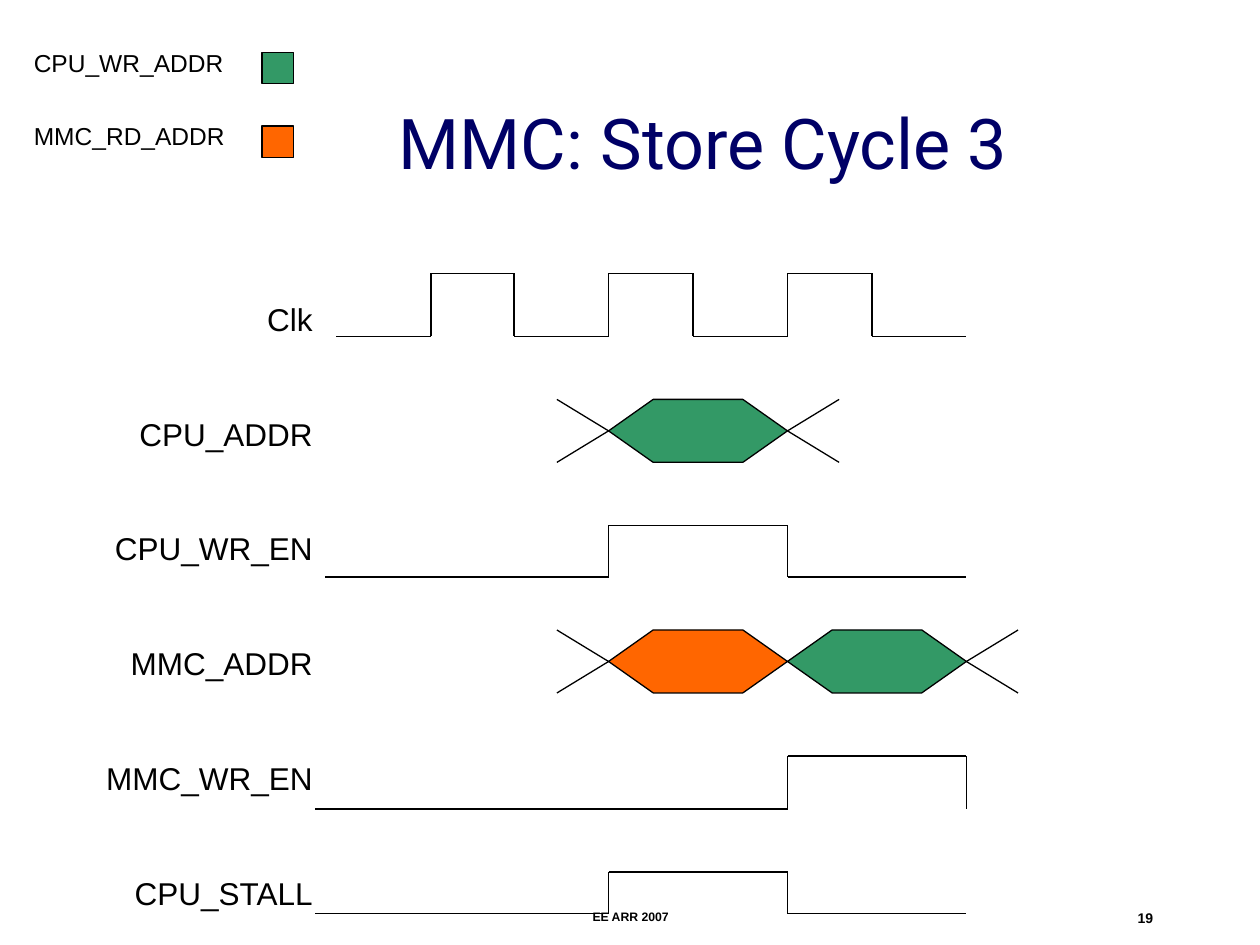
from itertools import pairwise

from lxml import etree
from pptx import Presentation
from pptx.dml.color import RGBColor
from pptx.enum.shapes import MSO_CONNECTOR, MSO_SHAPE
from pptx.enum.text import MSO_ANCHOR, PP_ALIGN
from pptx.oxml.ns import qn
from pptx.util import Inches, Pt

STRAIGHT = MSO_CONNECTOR.STRAIGHT
RECTANGLE, HEXAGON = MSO_SHAPE.RECTANGLE, MSO_SHAPE.HEXAGON
LEFT, CENTER, RIGHT = PP_ALIGN.LEFT, PP_ALIGN.CENTER, PP_ALIGN.RIGHT
TOP, MIDDLE = MSO_ANCHOR.TOP, MSO_ANCHOR.MIDDLE

BLACK, NAVY, GREEN, ORANGE = "000000", "000066", "339966", "FF6600"
RISES = [3.42, 4.83, 6.25]
FALLS = [4.08, 5.5, 6.92]
END = 7.67
SIGNALS = ["Clk", "CPU_ADDR", "CPU_WR_EN", "MMC_ADDR", "MMC_WR_EN", "CPU_STALL"]


def color(hex_value):
    """Turn a hex string into a colour."""
    return RGBColor.from_string(hex_value)


def add_text(slide, box, text, size, font="Arial", ink=BLACK, bold=False,
             align=LEFT, anchor=TOP, gap=0):
    """Write one paragraph per line of text, with gap points between them."""
    frame = slide.shapes.add_textbox(*map(Inches, box)).text_frame
    frame.word_wrap = True
    frame.vertical_anchor = anchor
    for index, line in enumerate(text.split("\n")):
        paragraph = frame.add_paragraph() if index else frame.paragraphs[0]
        paragraph.alignment = align
        paragraph.space_before = Pt(gap if index else 0)
        run = paragraph.add_run()
        run.text = line
        run.font.size = Pt(size)
        run.font.name = font
        run.font.bold = bold
        run.font.color.rgb = color(ink)


def add_block(slide, kind, box, fill):
    """Place a filled shape with a thin black outline."""
    block = slide.shapes.add_shape(kind, *map(Inches, box))
    block.shadow.inherit = False
    block.fill.solid()
    block.fill.fore_color.rgb = color(fill)
    block.line.color.rgb = color(BLACK)
    block.line.width = Pt(0.75)
    return block


def add_line(slide, start, end):
    """Draw a thin black line between two points."""
    line = slide.shapes.add_connector(STRAIGHT, *map(Inches, (*start, *end)))
    line.line.color.rgb = color(BLACK)
    line.line.width = Pt(0.75)
    etree.SubElement(line._element.spPr, qn("a:effectLst"))


def add_wave(slide, points):
    """Draw a signal level through the given points."""
    for start, end in pairwise(points):
        add_line(slide, start, end)


def add_clock(slide, left, top, right, bottom):
    """Draw the clock with one pulse for each rise and fall."""
    points = [(left, bottom)]
    for rise, fall in zip(RISES, FALLS):
        points += [(rise, bottom), (rise, top), (fall, top), (fall, bottom)]
    add_wave(slide, points + [(right, bottom)])


def add_enable(slide, left, top, right, bottom):
    """Draw a signal that is high for the second clock period."""
    add_wave(slide, [(left, bottom), (RISES[1], bottom), (RISES[1], top),
                     (FALLS[1], top), (RISES[2], top), (RISES[2], bottom),
                     (right, bottom)])


def add_late_enable(slide, left, top, right, bottom):
    """Draw a signal that is high for the third clock period."""
    add_wave(slide, [(left, bottom), (FALLS[1], bottom), (RISES[2], bottom),
                     (RISES[2], top), (FALLS[2], top), (right, top),
                     (right, bottom)])


def add_bus(slide, left, top, height, fills):
    """Draw address hexagons side by side with crossing lines at both ends."""
    width, spread = 1.42, 0.41
    middle = top + height / 2
    for index, fill in enumerate(fills):
        value = add_block(slide, HEXAGON,
                          (left + index * width, top, width, height), fill)
        value.adjustments[0] = 0.708
    right = left + len(fills) * width
    for tip, outer in ((left, left - spread), (right, right + spread)):
        for level in (top, top + height):
            add_line(slide, (tip, middle), (outer, level))


def add_legend(slide, left, top):
    """List the address names with their colours."""
    for row, (name, fill) in enumerate([("CPU_WR_ADDR", GREEN),
                                        ("MMC_RD_ADDR", ORANGE)]):
        row_top = top + row * 0.585
        add_text(slide, (left, row_top, 1.8, 0.34), name, 14)
        add_block(slide, RECTANGLE, (left + 1.91, row_top + 0.085, 0.25, 0.25), fill)


def add_timing(slide):
    """Draw the signal names and their waveforms."""
    add_text(slide, (0.33, 2.33, 2.25, 4.97), "\n".join(SIGNALS), 18,
             align=RIGHT, gap=44)
    add_clock(slide, 2.67, 2.17, END, 2.67)
    add_bus(slide, RISES[1], 3.17, 0.5, [GREEN])
    add_enable(slide, 2.58, 4.17, END, 4.58)
    add_bus(slide, RISES[1], 5, 0.5, [ORANGE, GREEN])
    add_late_enable(slide, 2.5, 6, END, 6.42)
    add_enable(slide, 2.5, 6.92, END, 7.25)


def add_footer(slide, top, height):
    """Write the course name and the page number."""
    add_text(slide, (3.42, top, 3.17, height), "EE ARR 2007", 7, bold=True, align=CENTER)
    add_text(slide, (7.17, top, 2.08, height), "19", 8, bold=True, align=RIGHT)


def main():
    """Build and save the slide."""
    deck = Presentation()
    deck.slide_width, deck.slide_height = Inches(10), Inches(7.5)
    slide = deck.slides.add_slide(deck.slide_layouts[6])
    add_text(slide, (1.33, 0.5, 8.5, 1.25), "MMC: Store Cycle 3", 40,
             font="Roboto", ink=NAVY, align=CENTER, anchor=MIDDLE)
    add_timing(slide)
    add_legend(slide, 0.17, 0.33)
    add_footer(slide, 7.17, 0.17)
    deck.save("out.pptx")


if __name__ == "__main__":
    main()
